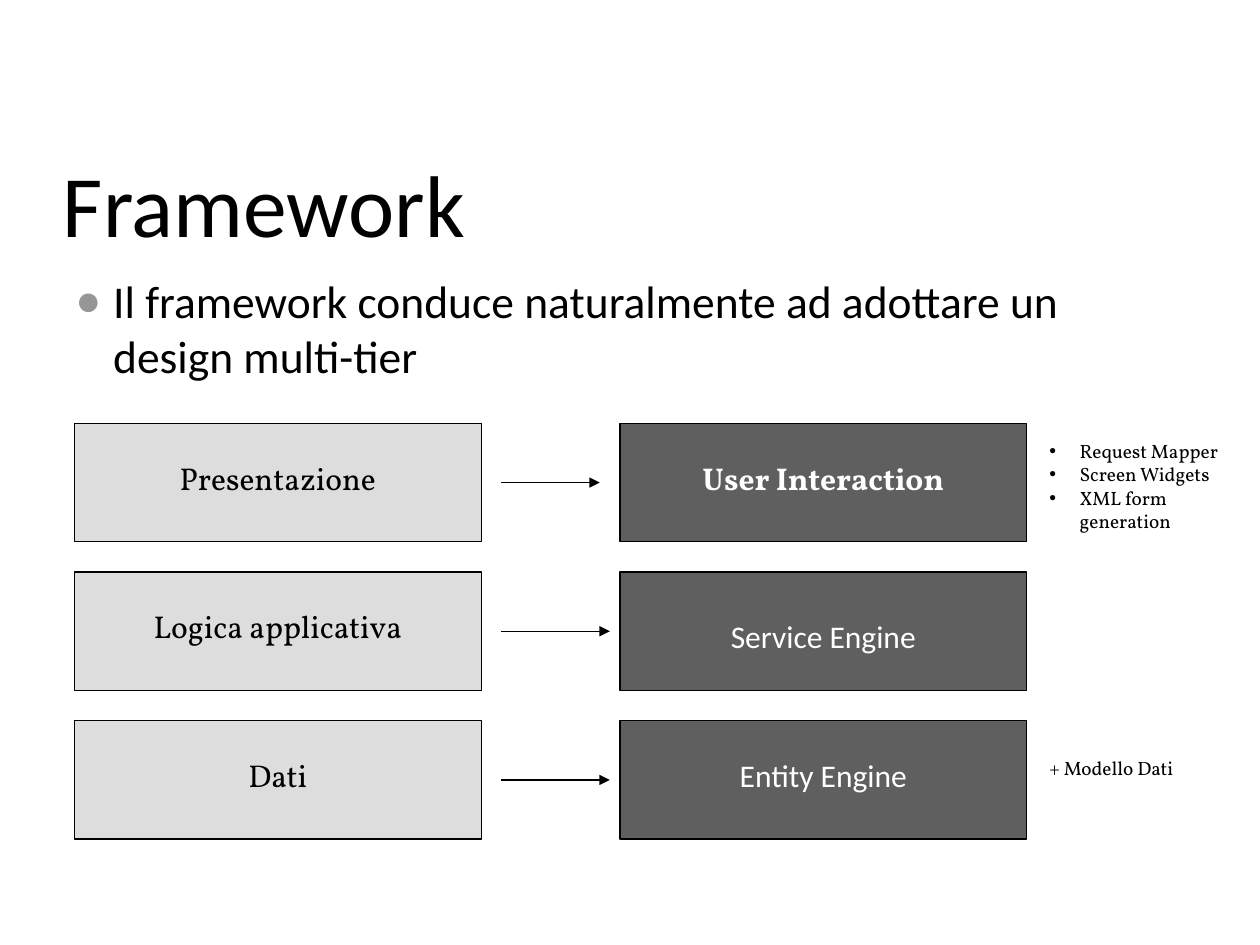
from lxml.etree import SubElement
from pptx import Presentation
from pptx.dml.color import RGBColor
from pptx.enum.shapes import MSO_CONNECTOR, MSO_SHAPE
from pptx.enum.text import MSO_ANCHOR, MSO_AUTO_SIZE, PP_ALIGN
from pptx.oxml.ns import qn
from pptx.util import Inches, Pt

BLACK = RGBColor(0x00, 0x00, 0x00)
WHITE = RGBColor(0xFF, 0xFF, 0xFF)
LIGHT = RGBColor(0xDD, 0xDD, 0xDD)
DARK = RGBColor(0x5F, 0x5F, 0x5F)
BULLET_GREY = RGBColor(0x96, 0x96, 0x96)
SANS, SERIF = "Calibri", "Vollkorn"

TITLE = "Framework"
STATEMENT = "Il framework conduce naturalmente ad adottare un design multi-tier"
TIERS = [
    {"layer": "Presentazione", "engine": "User Interaction", "font": SERIF,
     "bold": True, "label_drop": 0.23, "arrow_end": 4.76},
    {"layer": "Logica applicativa", "engine": "Service Engine", "font": SANS,
     "bold": False, "label_drop": 0.31, "arrow_end": 4.84},
    {"layer": "Dati", "engine": "Entity Engine", "font": SANS,
     "bold": False, "label_drop": 0.23, "arrow_end": 4.84},
]
COMPONENTS = ["Request Mapper", "Screen Widgets", "XML form generation"]
DATA_NOTE = "+ Modello Dati"

LAYER_LEFT, ENGINE_LEFT, NOTE_LEFT = 0.59, 4.92, 8.23
TIER_TOP, TIER_STEP = 3.36, 1.18
BOX_WIDTH, BOX_HEIGHT = 3.23, 0.94
LABEL_DROP, LABEL_HEIGHT = 0.23, 0.4
ARROW_START = 3.98
NOTE_WIDTH = 1.77


def add_bullet(paragraph, char, color, indent, size=100):
    properties = paragraph._p.get_or_add_pPr()
    properties.set("marL", str(Inches(indent)))
    properties.set("indent", str(-Inches(indent)))
    bullet_color = SubElement(properties, qn("a:buClr"))
    SubElement(bullet_color, qn("a:srgbClr"), val=str(color))
    SubElement(properties, qn("a:buSzPct"), val=str(size * 1000))
    SubElement(properties, qn("a:buFont"), typeface="Arial")
    SubElement(properties, qn("a:buChar"), char=char)


def add_text(slide, area, lines, size, font, color=BLACK, bold=False,
             align=PP_ALIGN.LEFT, bullet=None):
    frame = slide.shapes.add_textbox(*map(Inches, area)).text_frame
    frame.word_wrap = True
    frame.auto_size = MSO_AUTO_SIZE.NONE
    for index, line in enumerate(lines):
        paragraph = frame.paragraphs[0] if index == 0 else frame.add_paragraph()
        paragraph.alignment = align
        if bullet:
            add_bullet(paragraph, **bullet)
        run = paragraph.add_run()
        run.text = line
        run.font.size = Pt(size)
        run.font.name = font
        run.font.bold = bold
        run.font.color.rgb = color
    return frame


def add_box(slide, left, top, fill):
    box = slide.shapes.add_shape(
        MSO_SHAPE.RECTANGLE, *map(Inches, (left, top, BOX_WIDTH, BOX_HEIGHT)))
    box.shadow.inherit = False
    box.fill.solid()
    box.fill.fore_color.rgb = fill
    box.line.color.rgb = BLACK
    box.line.width = Pt(0.75)


def add_arrow(slide, start, end, y):
    arrow = slide.shapes.add_connector(
        MSO_CONNECTOR.STRAIGHT, *map(Inches, (start, y, end, y)))
    arrow.line.color.rgb = BLACK
    arrow.line.width = Pt(0.75)
    SubElement(arrow.line._get_or_add_ln(), qn("a:tailEnd"), type="triangle")
    SubElement(arrow._element.spPr, qn("a:effectLst"))


def add_tier(slide, top, tier):
    add_box(slide, LAYER_LEFT, top, LIGHT)
    add_box(slide, ENGINE_LEFT, top, DARK)
    add_arrow(slide, ARROW_START, tier["arrow_end"], top + BOX_HEIGHT / 2)
    add_text(slide, (LAYER_LEFT, top + LABEL_DROP, BOX_WIDTH, LABEL_HEIGHT),
             [tier["layer"]], 18, SERIF, align=PP_ALIGN.CENTER)
    add_text(slide, (ENGINE_LEFT, top + tier["label_drop"], BOX_WIDTH, LABEL_HEIGHT),
             [tier["engine"]], 18, tier["font"], WHITE, tier["bold"], PP_ALIGN.CENTER)


def main():
    deck = Presentation()
    deck.slide_width, deck.slide_height = Inches(10), Inches(7.5)
    slide = deck.slides.add_slide(deck.slide_layouts[6])

    title = add_text(slide, (0.5, 0.77, 9, 1.25), [TITLE], 50, SANS)
    title.vertical_anchor = MSO_ANCHOR.BOTTOM
    title.margin_left = title.margin_right = title.margin_bottom = 0
    add_text(slide, (0.5, 2.12, 9, 4.8), [STATEMENT], 26, SANS,
             bullet={"char": "●", "color": BULLET_GREY, "indent": 0.3, "size": 95})

    for row, tier in enumerate(TIERS):
        add_tier(slide, TIER_TOP + row * TIER_STEP, tier)

    add_text(slide, (NOTE_LEFT, 3.44, NOTE_WIDTH, 0.84), COMPONENTS, 11, SERIF,
             bullet={"char": "•", "color": BLACK, "indent": 0.24})
    add_text(slide, (NOTE_LEFT, 5.95, NOTE_WIDTH, 0.29), [DATA_NOTE], 11, SERIF)

    deck.save("out.pptx")


if __name__ == "__main__":
    main()
